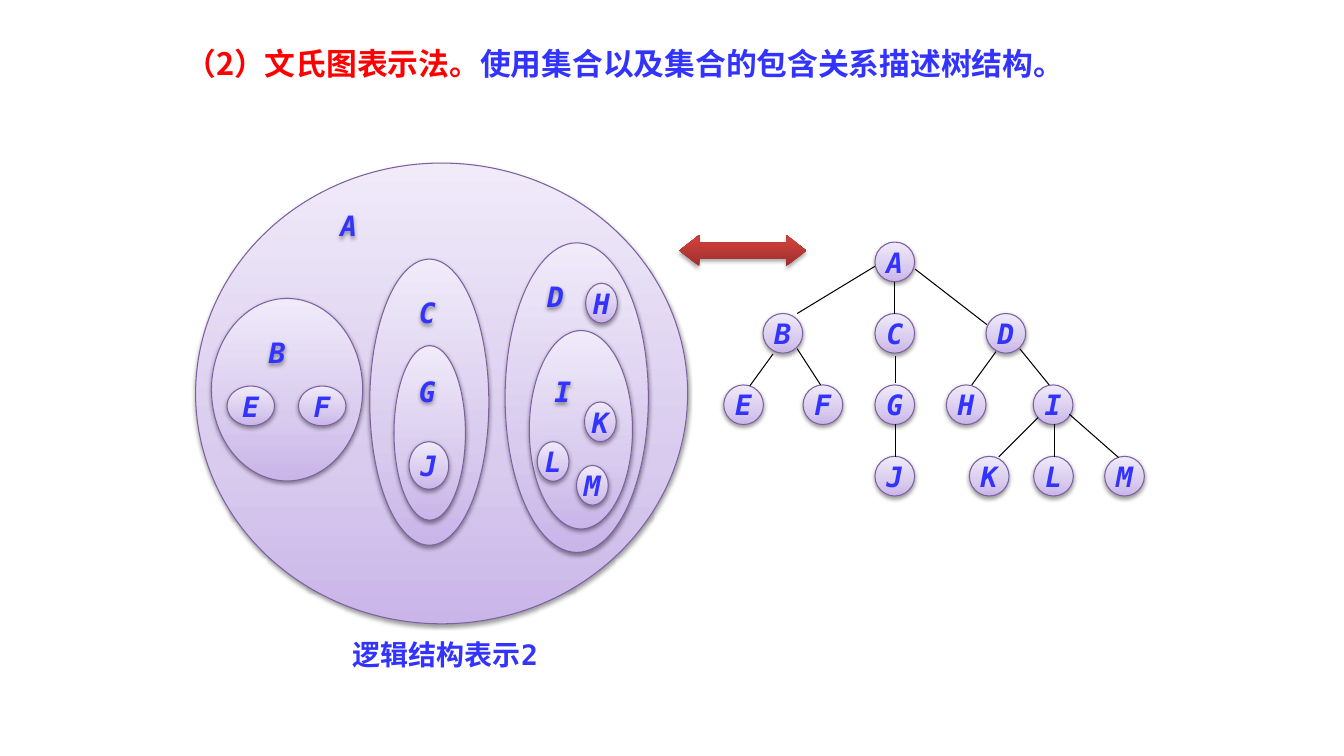
from dataclasses import dataclass

from pptx import Presentation
from pptx.dml.color import RGBColor
from pptx.enum.shapes import MSO_CONNECTOR as CONN, MSO_SHAPE as SHAPE
from pptx.enum.text import MSO_ANCHOR as ANCHOR, PP_ALIGN as ALIGN
from pptx.oxml import parse_xml
from pptx.oxml.ns import nsdecls, qn
from pptx.shapes.autoshape import Shape
from pptx.slide import Slide
from pptx.text.text import _Paragraph as Paragraph
from pptx.util import Cm, Pt


@dataclass(frozen=True)
class Theme:
    """Colours, fonts and sizes of the slide."""
    red: str = "FF0000"
    blue: str = "3333FF"
    outline: str = "7D60A0"
    edge: str = "000000"
    lilac: tuple = ((0, "C9B5E8"), (35, "D8CBEE"), (100, "F0EAF9"))
    brick: tuple = ((0, "9C2F2D"), (80, "CB3E3A"), (100, "CE3B37"))
    mono: str = "DejaVu Sans Mono"
    serif: str = "Times New Roman"
    cjk: str = "Noto Sans CJK SC"
    title_size: int = 22
    body_size: int = 20
    line_width: float = 0.75


@dataclass(frozen=True)
class Oval:
    """An ellipse in centimetres, with an optional centred letter."""
    x: float
    y: float
    w: float
    h: float
    letter: str = ""


@dataclass(frozen=True)
class Label:
    """A set name placed freely inside its ellipse."""
    letter: str
    x: float
    y: float


@dataclass(frozen=True)
class Node:
    """A tree node: left edge and level."""
    letter: str
    x: float
    level: int


@dataclass(frozen=True)
class Edge:
    """A tree edge from parent to child."""
    x1: float
    y1: float
    x2: float
    y2: float


THEME = Theme()
NODE_SIZE, TREE_TOP, LEVEL_STEP = 1.0, 6.1, 1.8

SETS = [
    Oval(4.93, 4.11, 12.4, 11.61),
    Oval(5.33, 7.52, 3.81, 4.6),
    Oval(5.72, 9.73, 1.2, 1, "E"),
    Oval(7.52, 9.73, 1.2, 1, "F"),
    Oval(9.32, 6.53, 3, 7.21),
    Oval(9.93, 8.71, 1.8, 4.4),
    Oval(10.31, 11.13, 1, 1.2, "J"),
    Oval(12.73, 6.12, 3.61, 7.8),
    Oval(13.34, 8.33, 2.6, 5),
    Oval(14.76, 7.14, 0.8, 1, "H"),
    Oval(14.73, 10.13, 0.8, 1, "K"),
    Oval(13.54, 11.13, 0.8, 1, "L"),
    Oval(14.53, 11.73, 0.8, 1, "M"),
]
LABELS = [
    Label("A", 8.33, 5.13), Label("B", 6.53, 8.33), Label("C", 10.31, 7.32),
    Label("G", 10.31, 9.3), Label("D", 13.54, 6.93), Label("I", 13.72, 9.32),
]
NODES = [
    Node("A", 22.05, 0),
    Node("B", 19.23, 1), Node("C", 22.05, 1), Node("D", 24.85, 1),
    Node("E", 18.24, 2), Node("F", 20.24, 2), Node("G", 22.05, 2),
    Node("H", 23.85, 2), Node("I", 26.04, 2),
    Node("J", 22.05, 3), Node("K", 24.43, 3), Node("L", 26.05, 3),
    Node("M", 27.84, 3),
]
EDGES = [
    Edge(22.05, 6.71, 20.09, 7.9), Edge(22.54, 7.11, 22.54, 7.9),
    Edge(23.06, 6.78, 24.87, 8.18), Edge(19.48, 8.92, 18.9, 9.72),
    Edge(20.09, 8.79, 20.68, 9.7), Edge(22.56, 8.97, 22.56, 9.65),
    Edge(25.1, 8.86, 24.49, 9.7), Edge(25.7, 8.79, 26.44, 9.7),
    Edge(22.56, 10.69, 22.56, 11.51), Edge(26.16, 10.52, 25.17, 11.51),
    Edge(26.57, 10.69, 26.57, 11.51), Edge(26.95, 10.44, 28.19, 11.53),
]


def add_run(p: Paragraph, text: str, color: str, size: int, font: str,
            italic: bool = False) -> None:
    """Append a bold run with Latin and East Asian fonts."""
    r = p.add_run()
    r.text = text
    r.font.size, r.font.bold, r.font.italic = Pt(size), True, italic
    r.font.color.rgb = RGBColor.from_string(color)
    r.font.name = font
    ea = r.font._element.makeelement(qn("a:ea"), {"typeface": THEME.cjk})
    r.font._element.find(qn("a:latin")).addnext(ea)


def add_letter(p: Paragraph, letter: str) -> None:
    """Append a slanted node letter."""
    add_run(p, letter, THEME.blue, THEME.body_size, THEME.mono, italic=True)


def add_shadow(sp: Shape, alpha: int, dist: float) -> None:
    """Give a shape a soft shadow straight below it."""
    sp._element.spPr.append(parse_xml(
        f'<a:effectLst {nsdecls("a")}><a:outerShdw blurRad="{Pt(3.1)}" '
        f'dist="{Pt(dist)}" dir="5400000" rotWithShape="0">'
        f'<a:srgbClr val="000000"><a:alpha val="{alpha * 1000}"/></a:srgbClr>'
        '</a:outerShdw></a:effectLst>'))


def fill_gradient(sp: Shape, stops: tuple) -> None:
    """Fill a shape with a gradient rising from its bottom."""
    gs = "".join(f'<a:gs pos="{pos * 1000}"><a:srgbClr val="{color}"/></a:gs>'
                 for pos, color in stops)
    sp._element.spPr.find(qn("a:prstGeom")).addnext(parse_xml(
        f'<a:gradFill {nsdecls("a")} rotWithShape="1"><a:gsLst>{gs}</a:gsLst>'
        '<a:lin ang="16200000" scaled="0"/></a:gradFill>'))


def add_oval(s: Slide, o: Oval) -> None:
    """Draw a lilac ellipse and its letter, if any."""
    sp = s.shapes.add_shape(SHAPE.OVAL, Cm(o.x), Cm(o.y), Cm(o.w), Cm(o.h))
    fill_gradient(sp, THEME.lilac)
    sp.line.color.rgb = RGBColor.from_string(THEME.outline)
    sp.line.width = Pt(THEME.line_width)
    add_shadow(sp, 38, 1.6)
    if o.letter:
        tf = sp.text_frame
        tf.word_wrap, tf.vertical_anchor = False, ANCHOR.MIDDLE
        p = tf.paragraphs[0]
        p.alignment = ALIGN.CENTER
        add_letter(p, o.letter)


def add_text(s: Slide, x: float, y: float, w: float, h: float) -> Shape:
    """Add an empty wrapping text box."""
    sp = s.shapes.add_textbox(Cm(x), Cm(y), Cm(w), Cm(h))
    sp.text_frame.word_wrap = True
    return sp


def add_label(s: Slide, label: Label) -> None:
    """Write the name of a set."""
    sp = add_text(s, label.x, label.y, 1, 1.09)
    add_letter(sp.text_frame.paragraphs[0], label.letter)
    add_shadow(sp, 38, 1.6)


def add_edge(s: Slide, e: Edge) -> None:
    """Draw one tree edge."""
    c = s.shapes.add_connector(CONN.STRAIGHT, Cm(e.x1), Cm(e.y1), Cm(e.x2), Cm(e.y2))
    c.line.color.rgb = RGBColor.from_string(THEME.edge)
    c.line.width = Pt(THEME.line_width)
    c._element.spPr.append(parse_xml(f'<a:effectLst {nsdecls("a")}/>'))


def add_arrow(s: Slide) -> None:
    """Draw the double arrow between the diagram and the tree."""
    sp = s.shapes.add_shape(SHAPE.LEFT_RIGHT_ARROW, Cm(17.12), Cm(5.92), Cm(3.2), Cm(0.79))
    sp.adjustments[0], sp.adjustments[1] = 0.5, 0.64
    fill_gradient(sp, THEME.brick)
    sp.line.fill.background()
    add_shadow(sp, 35, 1.8)


def main() -> None:
    """Build the slide and save it."""
    prs = Presentation()
    prs.slide_width, prs.slide_height = Cm(33.87), Cm(19.05)
    s = prs.slides.add_slide(prs.slide_layouts[6])

    p = add_text(s, 4.42, 0.91, 25.3, 1.22).text_frame.paragraphs[0]
    p.alignment, p.line_spacing = ALIGN.JUSTIFY, 1.1
    add_run(p, "（2）文氏图表示法。", THEME.red, THEME.title_size, THEME.cjk)
    add_run(p, "使用集合以及集合的包含关系描述树结构。", THEME.blue,
            THEME.title_size, THEME.serif)

    p = add_text(s, 6.73, 15.93, 8.99, 1.12).text_frame.paragraphs[0]
    p.alignment = ALIGN.CENTER
    add_run(p, "逻辑结构表示2", THEME.blue, THEME.body_size, THEME.mono)

    for oval in SETS:
        add_oval(s, oval)
    for label in LABELS:
        add_label(s, label)
    add_arrow(s)
    for n in NODES:
        add_oval(s, Oval(n.x, TREE_TOP + n.level * LEVEL_STEP, NODE_SIZE, NODE_SIZE, n.letter))
    for edge in EDGES:
        add_edge(s, edge)
    prs.save("out.pptx")


if __name__ == "__main__":
    main()
